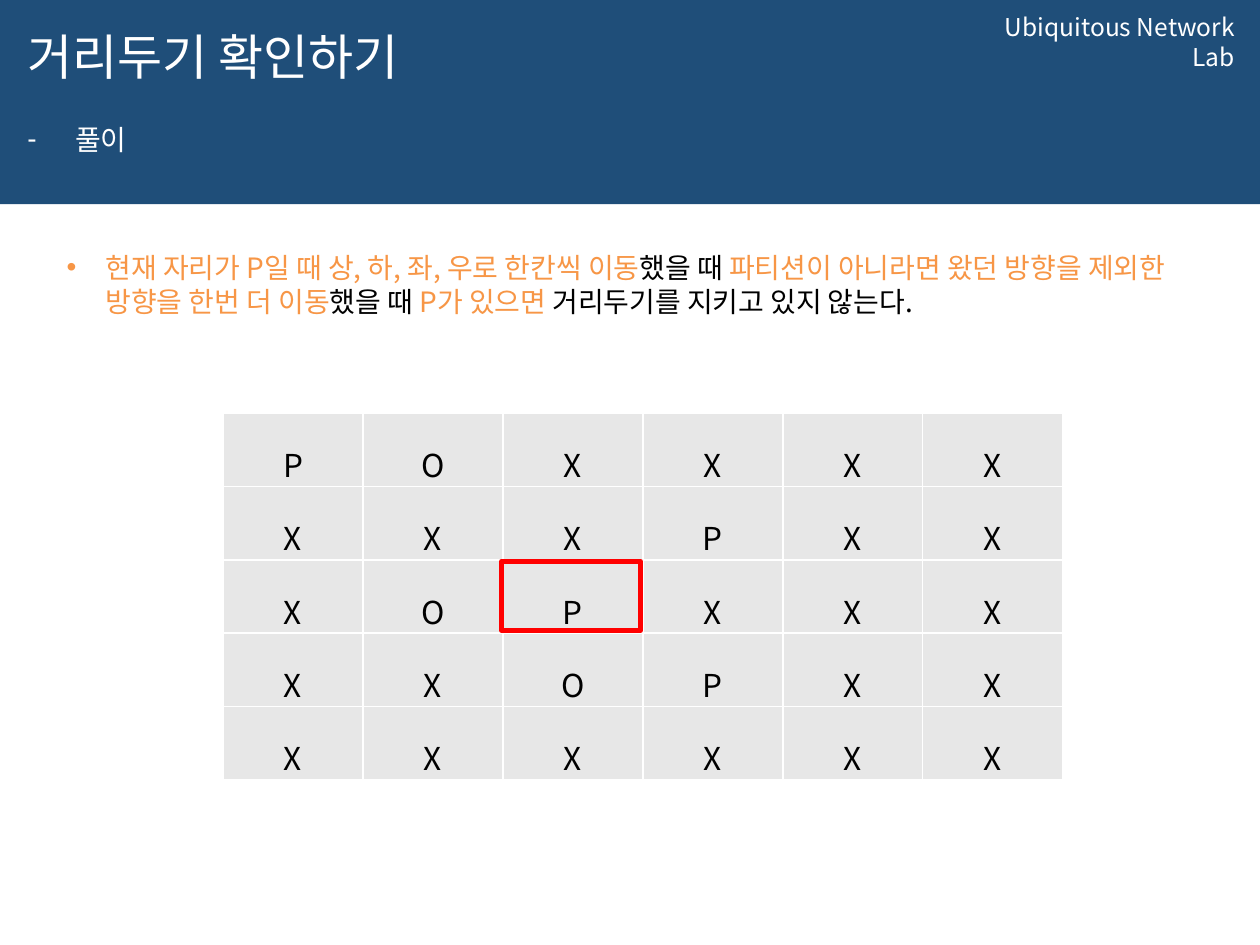
from lxml import etree
from pptx import Presentation
from pptx.dml.color import RGBColor
from pptx.enum.shapes import MSO_SHAPE
from pptx.enum.text import MSO_ANCHOR, PP_ALIGN
from pptx.oxml.ns import qn
from pptx.util import Inches, Pt

RECT = MSO_SHAPE.RECTANGLE
TOP, MIDDLE, BOTTOM = MSO_ANCHOR.TOP, MSO_ANCHOR.MIDDLE, MSO_ANCHOR.BOTTOM
LEFT, CENTER, RIGHT = PP_ALIGN.LEFT, PP_ALIGN.CENTER, PP_ALIGN.RIGHT
COLORS = {"navy": "1F4E79", "white": "FFFFFF", "black": "000000",
          "orange": "F79646", "cell": "E7E7E7", "red": "FF0000"}
FONT = "Noto Sans CJK KR"


def rgb(name):
    return RGBColor.from_string(COLORS[name])


class Deck:
    """Places elements on a grid of 100 columns by 75 rows."""

    def __init__(self):
        self.prs = Presentation()
        self.prs.slide_width, self.prs.slide_height = Inches(10), Inches(7.5)
        self.slide = self.prs.slides.add_slide(self.prs.slide_layouts[6])

    def grid(self, *cells):
        return [int(self.prs.slide_width * cell / 100) for cell in cells]

    def style(self, run, size, color):
        run.font.size, run.font.name = Pt(size), FONT
        run.font.color.rgb = rgb(color)
        etree.SubElement(run.font._element, qn("a:ea"), typeface=FONT)

    def rect(self, box, fill=None, line=None, width=0):
        shape = self.slide.shapes.add_shape(RECT, *self.grid(*box))
        shape.shadow.inherit = False
        if fill:
            shape.fill.solid()
            shape.fill.fore_color.rgb = rgb(fill)
        else:
            shape.fill.background()
        if line:
            shape.line.color.rgb, shape.line.width = rgb(line), Pt(width)
            etree.SubElement(shape.line._get_or_add_ln(), qn("a:round"))
        else:
            shape.line.fill.background()

    def text(self, box, runs, size, align=LEFT, anchor=TOP, bullet=None, indent=0, before=0):
        frame = self.slide.shapes.add_textbox(*self.grid(*box)).text_frame
        frame.word_wrap, frame.vertical_anchor = True, anchor
        paragraph = frame.paragraphs[0]
        paragraph.alignment, paragraph.space_before = align, Pt(before)
        for words, color in runs:
            run = paragraph.add_run()
            run.text = words
            self.style(run, size, color)
        if bullet:
            props = paragraph._p.get_or_add_pPr()
            hang = self.grid(indent)[0]
            props.set("marL", str(hang))
            props.set("indent", str(-hang))
            etree.SubElement(props, qn("a:buFont"), typeface="Arial")
            etree.SubElement(props, qn("a:buChar"), char=bullet)

    def table(self, left, top, col_width, row_height, rows, size):
        box = (left, top, col_width * len(rows[0]), row_height * len(rows))
        table = self.slide.shapes.add_table(len(rows), len(rows[0]), *self.grid(*box)).table
        for column in table.columns:
            column.width = self.grid(col_width)[0]
        for row, letters in zip(table.rows, rows):
            row.height = self.grid(row_height)[0]
            for cell, letter in zip(row.cells, letters):
                self.seat(cell, letter, size)

    def seat(self, cell, letter, size):
        cell.margin_top = cell.margin_bottom = 0
        cell.vertical_anchor = BOTTOM
        cell.text_frame.text = letter
        paragraph = cell.text_frame.paragraphs[0]
        paragraph.alignment, paragraph.line_spacing = CENTER, 1.5
        self.style(paragraph.runs[0], size, "black")
        props = cell._tc.get_or_add_tcPr()
        for side in ("lnL", "lnR", "lnT", "lnB"):
            line = etree.SubElement(props, qn("a:" + side), w=str(Pt(1)))
            fill = etree.SubElement(line, qn("a:solidFill"))
            etree.SubElement(fill, qn("a:srgbClr"), val=COLORS["white"])
        cell.fill.solid()
        cell.fill.fore_color.rgb = rgb("cell")


deck = Deck()

# Header band
deck.rect((0, 0, 100, 16.2), fill="navy")
deck.text((75.2, 0.5, 23.8, 3.4), [("Ubiquitous Network Lab", "white")], 14, align=RIGHT)
deck.text((1.2, 1.3, 74, 6.3), [("거리두기 확인하기", "white")], 28, anchor=MIDDLE)
deck.text((1.2, 9.2, 74, 5.5), [("풀이", "white")], 16, bullet="-", indent=3.8, before=3.2)

# Rule for keeping distance
rule = [("현재 자리가 P일 때 상, 하, 좌, 우로 한칸씩 이동", "orange"),
        ("했을 때 ", "black"),
        ("파티션이 아니라면 왔던 방향을 제외한 방향을 한번 더 이동", "orange"),
        ("했을 때 ", "black"),
        ("P가 있으면", "orange"),
        (" 거리두기를 지키고 있지 않는다.", "black")]
deck.text((4.3, 19.4, 91.3, 6.4), rule, 16, bullet="•", indent=3.1)

# Seating plan, with the current seat outlined
seats = ["POXXXX", "XXXPXX", "XOPXXX", "XXOPXX", "XXXXXX"]
seats_left, seats_top, seat_width, seat_height = 17.7, 32.8, 11.11, 5.82
deck.table(seats_left, seats_top, seat_width, seat_height, seats, 18)
current_row, current_col = 2, 2
deck.rect((seats_left + current_col * seat_width - 0.1,
           seats_top + current_row * seat_height + 0.1, 11, 5.5), line="red", width=3)

deck.prs.save("out.pptx")
